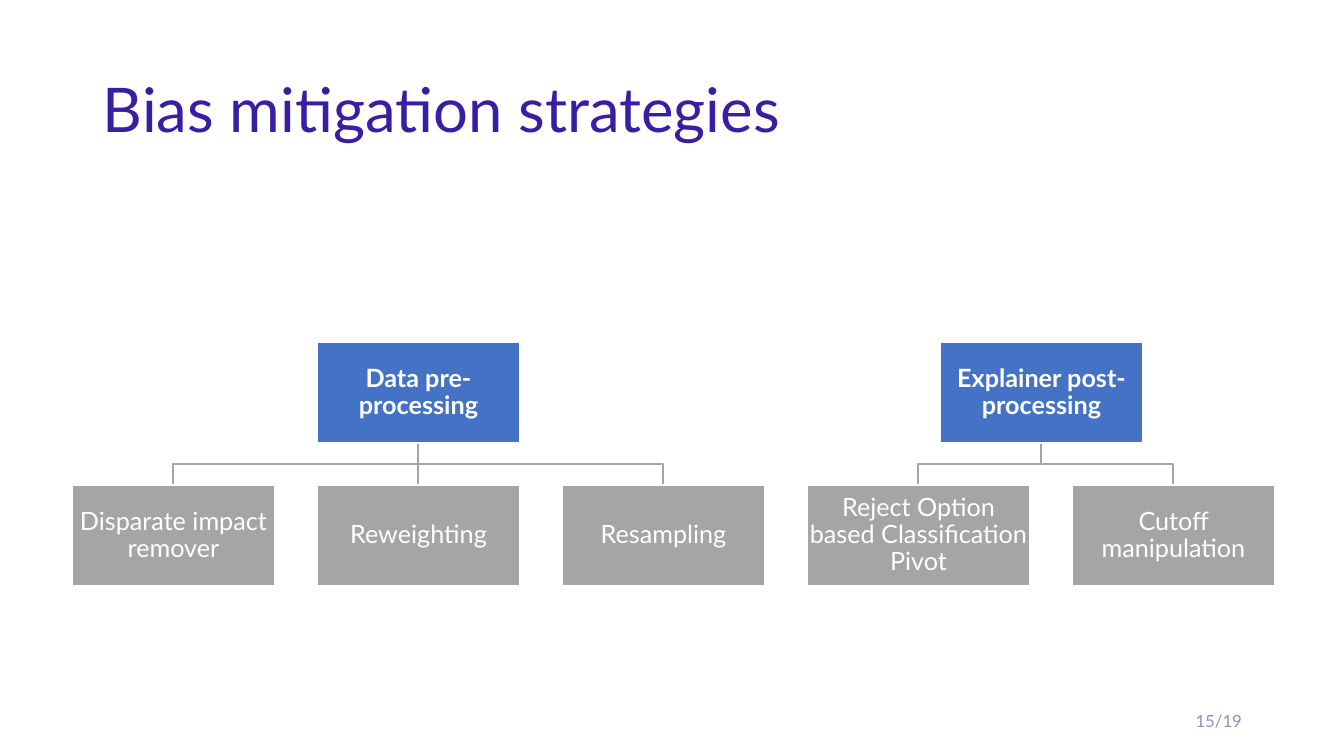
from dataclasses import dataclass

from pptx import Presentation
from pptx.dml.color import RGBColor
from pptx.enum.shapes import MSO_CONNECTOR, MSO_SHAPE
from pptx.enum.text import MSO_ANCHOR as Anchor, PP_ALIGN as Align
from pptx.util import Pt
from lxml.etree import SubElement
from pptx.oxml.ns import qn

EMU_PER_PX = 914400 / 100.8


@dataclass(frozen=True)
class Theme:
    font: str = "Lato"
    title: str = "371EA3"
    footer: str = "918DC0"
    strategy: str = "4472C4"
    method: str = "A5A5A5"
    light: str = "FFFFFF"
    title_size: int = 44
    box_size: int = 18
    footer_size: int = 12
    line: int = 1


THEME = Theme()

LEFT, GAP, BOX_WIDTH, BOX_HEIGHT = 72, 42, 203, 101
STRATEGY_TOP, METHOD_TOP = 342, 485

# Each strategy with its methods and their box widths.
STRATEGIES = [
    ("Data pre-processing", [
        ("Disparate impact remover", BOX_WIDTH),
        ("Reweighting", BOX_WIDTH),
        ("Resampling", BOX_WIDTH),
    ]),
    ("Explainer post-processing", [
        ("Reject Option based Classification Pivot", 223),
        ("Cutoff manipulation", BOX_WIDTH),
    ]),
]


def px(*lengths):
    return [round(length * EMU_PER_PX) for length in lengths]


def rgb(colour):
    return RGBColor.from_string(colour)


def write(frame, text, *, size, colour, bold=False, align=Align.LEFT,
          spacing=None, inset=None):
    """Fill a text frame with one vertically centred paragraph."""
    frame.word_wrap = True
    frame.vertical_anchor = Anchor.MIDDLE
    if inset is not None:
        margin, = px(inset)
        frame.margin_left = frame.margin_right = margin
        frame.margin_top = frame.margin_bottom = margin
    para = frame.paragraphs[0]
    para.alignment = align
    para.line_spacing = spacing
    span = para.add_run()
    span.text = text
    span.font.name = THEME.font
    span.font.size = Pt(size)
    span.font.bold = bold
    span.font.color.rgb = rgb(colour)


def add_label(page, text, left, top, width, height, **style):
    box = page.shapes.add_textbox(*px(left, top, width, height))
    write(box.text_frame, text, **style)


def style_line(shape, colour):
    shape.line.color.rgb = rgb(colour)
    shape.line.width = Pt(THEME.line)


def add_box(page, text, left, top, width, fill, bold=False):
    box = page.shapes.add_shape(MSO_SHAPE.RECTANGLE,
                                *px(left, top, width, BOX_HEIGHT))
    box.shadow.inherit = False
    box.fill.solid()
    box.fill.fore_color.rgb = rgb(fill)
    style_line(box, THEME.light)
    write(box.text_frame, text, size=THEME.box_size, colour=THEME.light,
          bold=bold, align=Align.CENTER, spacing=0.9, inset=1)


def add_branch(page, start, end):
    """Link a strategy to a method, bending halfway unless they are aligned."""
    top = STRATEGY_TOP + BOX_HEIGHT
    if start == end:
        branch = page.shapes.add_connector(
            MSO_CONNECTOR.STRAIGHT, *px(start, top, end, METHOD_TOP))
        SubElement(branch._element.spPr, qn("a:effectLst"))
    else:
        middle = (top + METHOD_TOP) // 2
        outline = page.shapes.build_freeform(start, top, scale=EMU_PER_PX)
        outline.add_line_segments(
            [(start, middle), (end, middle), (end, METHOD_TOP)], close=False)
        branch = outline.convert_to_shape()
        branch.shadow.inherit = False
        branch.fill.background()
    style_line(branch, THEME.method)


def add_tree(page, strategy, methods, left):
    """Draw a strategy centred over its methods; return the next free left."""
    total = sum(width for _, width in methods) + GAP * (len(methods) - 1)
    centre = left + total // 2
    for method, width in methods:
        add_branch(page, centre, left + width // 2)
        add_box(page, method, left, METHOD_TOP, width, THEME.method)
        left += width + GAP
    add_box(page, strategy, centre - BOX_WIDTH // 2, STRATEGY_TOP, BOX_WIDTH,
            THEME.strategy, bold=True)
    return left


def main():
    deck = Presentation()
    deck.slide_width, deck.slide_height = px(1344, 756)
    page = deck.slides.add_slide(deck.slide_layouts[6])

    left = LEFT
    for strategy, methods in STRATEGIES:
        left = add_tree(page, strategy, methods, left)

    add_label(page, "Bias mitigation strategies", 93, 40, 1159, 146,
              size=THEME.title_size, colour=THEME.title, spacing=0.9)
    add_label(page, "15/19", 950, 701, 302, 40,
              size=THEME.footer_size, colour=THEME.footer, align=Align.RIGHT)
    deck.save("out.pptx")


if __name__ == "__main__":
    main()
